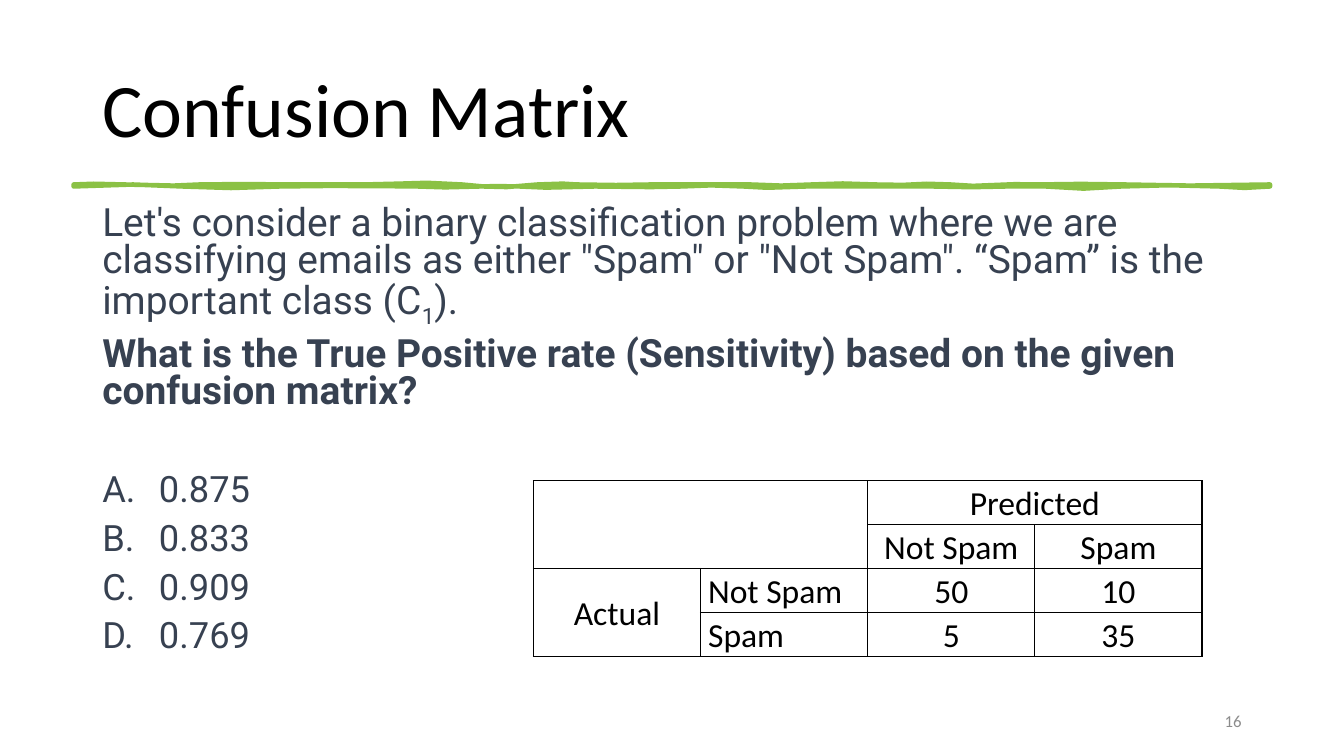
from lxml import etree
from pptx import Presentation, util as u
from pptx.dml.color import RGBColor
from pptx.enum import text as t
from pptx.oxml import ns

# Content
COLORS = {"black": "000000", "slate": "374151", "gray": "8C8C8C", "green": "8BC145"}
TITLE = "Confusion Matrix"
PAGE_NUMBER = "16"
INTRO = [
    ("Let's consider a binary classification problem where we are classifying emails "
     'as either "Spam" or "Not Spam". “Spam” is the important class (C', False),
    ("1", True),
    (").", False),
]
QUESTION = ("What is the True Positive rate (Sensitivity) based on the given "
            "confusion matrix?")
ANSWERS = ["0.875", "0.833", "0.909", "0.769"]
MATRIX = [
    ["", "", "Predicted", ""],
    ["", "", "Not Spam", "Spam"],
    ["Actual", "Not Spam", "50", "10"],
    ["", "Spam", "5", "35"],
]
MERGES = [((0, 0), (1, 1)), ((0, 2), (0, 3)), ((2, 0), (3, 0))]

# Brush stroke edges: x, and y below the top of the rule
RULE_TOP = 131.8
UPPER_EDGE = [
    (52.6, 0), (67, -0.5), (89, 0), (124, 0.8), (142.5, 0), (175, -0.3), (204, 0),
    (260, 0), (285, -0.6), (305, -1.2), (330, 0), (345, 1.4), (362, 1.8), (384, 0),
    (402, -0.6), (412, 0), (440, 0.4), (465, 0), (536, 0), (558, 0.8), (580, 0),
    (602, -0.7), (625, 0), (645, 0.3), (662, -0.5), (679, 0), (695, 1), (725, -0.2),
    (741, 0), (772, -0.4), (803, 0), (850, 0.8), (907.2, 0),
]
LOWER_EDGE = [
    (907.2, 1.4), (889, 2.4), (871, 1.4), (835, 0.5), (801, 1.4), (774, 2.9),
    (747, 1.4), (719, 1.4), (694, 1.9), (666, 1.4), (576, 1.4), (548, 2.3),
    (531, 1.4), (508, 0.6), (487, 1.4), (465, 1.8), (425, 1.4), (390, 2.2),
    (371, 1.4), (355, 1.2), (343, 1.4), (318, 2), (298, 1.4), (278, 1.2),
    (236, 1), (200, 1.4), (165, 2.5), (130, 1.4), (95, 0), (52.6, 1.4),
]


def color(name):
    return RGBColor.from_string(COLORS[name])


def add_span(para, words, font, size, ink, bold=False):
    span = para.add_run()
    span.text = words
    span.font.name, span.font.size, span.font.bold = font, u.Pt(size), bold
    span.font.color.rgb = color(ink)
    return span


def add_box(left, top, width, height, anchor):
    box = page.shapes.add_textbox(*map(u.Pt, (left, top, width, height)))
    box.text_frame.word_wrap = True
    box.text_frame.vertical_anchor = anchor
    return box.text_frame


def add_border(cell):
    props = cell._tc.get_or_add_tcPr()
    for place, side in enumerate(("lnL", "lnR", "lnT", "lnB")):
        line = etree.Element(ns.qn("a:" + side), w=str(u.Pt(1)))
        fill = etree.SubElement(line, ns.qn("a:solidFill"))
        etree.SubElement(fill, ns.qn("a:srgbClr"), val=COLORS["black"])
        props.insert(place, line)


deck = Presentation()
deck.slide_width, deck.slide_height = u.Pt(960), u.Pt(540)
page = deck.slides.add_slide(deck.slide_layouts[6])

# Title
para = add_box(66, 28.75, 828, 104.4, t.MSO_ANCHOR.MIDDLE).paragraphs[0]
para.line_spacing = 0.9
add_span(para, TITLE, "Calibri", 54, "black")

# Green brush rule
outline = [(u.Pt(x), u.Pt(RULE_TOP + y)) for x, y in UPPER_EDGE + LOWER_EDGE]
builder = page.shapes.build_freeform(*outline[0])
builder.add_line_segments(outline[1:], close=True)
rule = builder.convert_to_shape()
rule.shadow.inherit = False
rule.fill.solid()
rule.fill.fore_color.rgb = color("green")
rule.line.color.rgb = color("green")
rule.line.width = u.Pt(3.25)

# Page number
para = add_box(678, 500.5, 216, 28.75, t.MSO_ANCHOR.MIDDLE).paragraphs[0]
para.alignment = t.PP_ALIGN.RIGHT
para.space_after = u.Pt(6)
add_span(para, PAGE_NUMBER, "Calibri", 12, "gray")

# Problem, question and answers
body = add_box(66, 143.75, 828, 342.7, t.MSO_ANCHOR.TOP)
paras = [body.paragraphs[0]] + [body.add_paragraph() for _ in range(1 + len(ANSWERS))]
for para in paras:
    para.line_spacing = 0.8
    para.space_before = u.Pt(10)
for words, lowered in INTRO:
    span = add_span(paras[0], words, "Roboto", 27.8, "slate")
    if lowered:
        span.font._element.set("baseline", "-25000")
add_span(paras[1], QUESTION, "Roboto", 27.8, "slate", bold=True)
paras[2].space_before = u.Pt(44.5)
for para, answer in zip(paras[2:], ANSWERS):
    props = para._p.get_or_add_pPr()
    props.set("marL", str(u.Pt(40.5)))
    props.set("indent", str(u.Pt(-40.5)))
    etree.SubElement(props, ns.qn("a:buAutoNum"), type="alphaUcPeriod")
    add_span(para, answer, "Roboto", 25.9, "slate")

# Confusion matrix
COLUMN, ROW = 119.4, 31.3
frame = page.shapes.add_table(4, 4, u.Pt(381), u.Pt(343.5), u.Pt(4 * COLUMN), u.Pt(4 * ROW))
table = frame.table
table.first_row = table.horz_banding = False
for column in table.columns:
    column.width = u.Pt(COLUMN)
for row in table.rows:
    row.height = u.Pt(ROW)
for r, labels in enumerate(MATRIX):
    for c, label in enumerate(labels):
        cell = table.cell(r, c)
        cell.fill.background()
        add_border(cell)
        cell.margin_left = cell.margin_right = u.Pt(5.4)
        cell.margin_top = cell.margin_bottom = 0
        if label == "Actual":
            cell.vertical_anchor = t.MSO_ANCHOR.MIDDLE
        para = cell.text_frame.paragraphs[0]
        para.line_spacing = 1.07
        para.alignment = t.PP_ALIGN.LEFT if c == 1 else t.PP_ALIGN.CENTER
        if label:
            add_span(para, label, "Calibri", 24, "black")
        else:
            para.font.size = u.Pt(12)
for first, last in MERGES:
    table.cell(*first).merge(table.cell(*last))

deck.save("out.pptx")
